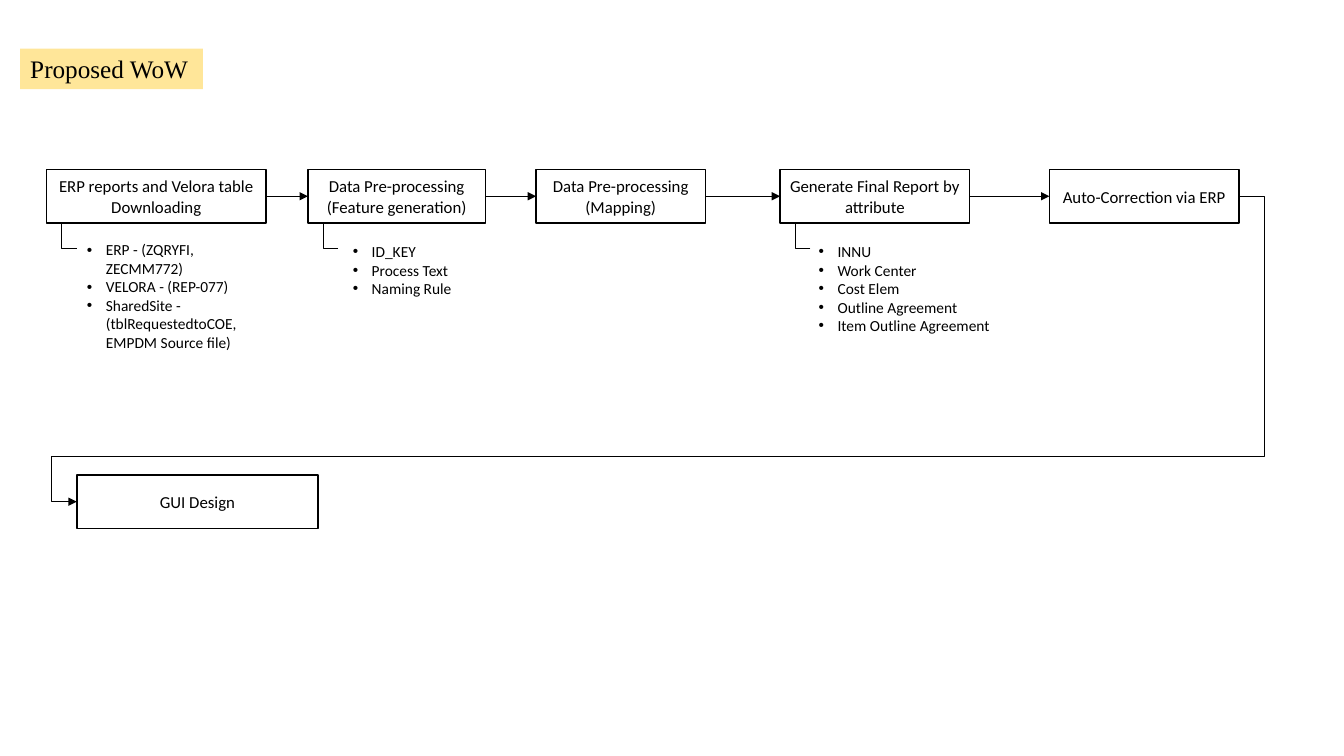
from dataclasses import dataclass

from lxml.etree import SubElement
from pptx import Presentation
from pptx.dml.color import RGBColor
from pptx.enum.shapes import MSO_CONNECTOR, MSO_SHAPE
from pptx.enum.text import MSO_ANCHOR, MSO_AUTO_SIZE, PP_ALIGN
from pptx.oxml.ns import qn
from pptx.util import Pt


@dataclass(frozen=True)
class Theme:
    ink: RGBColor = RGBColor(0, 0, 0)
    highlight: RGBColor = RGBColor(0xFF, 0xE6, 0x99)
    title_font: str = "Times New Roman"
    body_font: str = "Calibri"
    title_size: float = 18
    box_size: float = 12
    list_size: float = 11
    box_line: float = 1
    arrow_line: float = 0.5


TOP, LEFT, BOTTOM, RIGHT = range(4)  # connection sites of a rectangle
BOX_TOP, BOX_HEIGHT = 121.2, 38
HOOK_INSET, HOOK_WIDTH, HOOK_DROP = 10.8, 10.8, 18

# left, width, lines of the label
STEPS = [
    (33.1, 157, ["ERP reports and Velora table", "Downloading"]),
    (219.9, 126.9, ["Data Pre-processing", "(Feature generation)"]),
    (382.9, 121, ["Data Pre-processing", "(Mapping)"]),
    (557.2, 135.4, ["Generate Final Report by attribute"]),
    (749.6, 135.4, ["Auto-Correction via ERP"]),
]

# step index, placeholder index, left, top, height, items
DETAILS = [
    (0, 1, 54.9, 168.2, 127.4,
     ["ERP - (ZQRYFI, ZECMM772)", "VELORA - (REP-077)",
      "SharedSite - (tblRequestedtoCOE, EMPDM Source file)"]),
    (1, 2, 244.8, 169.4, 87, ["ID_KEY", "Process Text", "Naming Rule"]),
    (3, 4, 577.6, 169.4, 87,
     ["INNU", "Work Center", "Cost Elem", "Outline Agreement",
      "Item Outline Agreement"]),
]
DETAIL_WIDTH = 147


class Deck:
    def __init__(self, slide, theme):
        self.s = slide
        self.theme = theme

    def _place(self, sp, x, y, w, h):
        sp.left, sp.top, sp.width, sp.height = Pt(x), Pt(y), Pt(w), Pt(h)

    def _write(self, tf, lines, size, font, align, anchor):
        tf.word_wrap = True
        tf.auto_size = MSO_AUTO_SIZE.NONE
        tf.vertical_anchor = anchor
        for i, line in enumerate(lines):
            p = tf.add_paragraph() if i else tf.paragraphs[0]
            p.alignment = align
            p.space_before = p.space_after = Pt(0)
            r = p.add_run()
            r.text = line
            r.font.size = Pt(size)
            r.font.name = font
            r.font.bold = False
            r.font.color.rgb = self.theme.ink

    def title(self, text, x, y, w, h):
        sp = self.s.shapes.title
        self._place(sp, x, y, w, h)
        sp.fill.solid()
        sp.fill.fore_color.rgb = self.theme.highlight
        self._write(sp.text_frame, [text], self.theme.title_size,
                    self.theme.title_font, PP_ALIGN.LEFT, MSO_ANCHOR.TOP)

    def box(self, lines, x, y, w, h):
        sp = self.s.shapes.add_shape(MSO_SHAPE.RECTANGLE, Pt(x), Pt(y), Pt(w), Pt(h))
        sp.shadow.inherit = False
        sp.fill.background()
        sp.line.color.rgb = self.theme.ink
        sp.line.width = Pt(self.theme.box_line)
        self._write(sp.text_frame, lines, self.theme.box_size,
                    self.theme.body_font, PP_ALIGN.CENTER, MSO_ANCHOR.MIDDLE)
        return sp

    def bullets(self, idx, items, x, y, w, h):
        sp = next(ph for ph in self.s.placeholders
                  if ph.placeholder_format.idx == idx)
        self._place(sp, x, y, w, h)
        tf = sp.text_frame
        self._write(tf, items, self.theme.list_size,
                    self.theme.body_font, PP_ALIGN.LEFT, MSO_ANCHOR.TOP)
        indent = Pt(13.5)
        for p in tf.paragraphs:
            pPr = p._p.get_or_add_pPr()
            pPr.set("marL", str(indent))
            pPr.set("indent", str(-indent))
            SubElement(pPr, qn("a:buFont")).set("typeface", "Arial")
            SubElement(pPr, qn("a:buChar")).set("char", "•")

    def _connector(self, kind, begin, end):
        c = self.s.shapes.add_connector(kind, *begin, *end)
        c.line.color.rgb = self.theme.ink
        c.line.width = Pt(self.theme.arrow_line)
        SubElement(c._element.spPr, qn("a:effectLst"))
        return c

    def arrow(self, source, target, kind=MSO_CONNECTOR.STRAIGHT):
        """Run an arrow from the right side of source to the left side of target."""
        c = self._connector(
            kind,
            (source.left + source.width, source.top + source.height // 2),
            (target.left, target.top + target.height // 2))
        c.begin_connect(source, RIGHT)
        c.end_connect(target, LEFT)
        SubElement(c.line._get_or_add_ln(), qn("a:tailEnd")).set("type", "triangle")
        return c

    def _bend(self, c, preset, adjustments=()):
        geom = c._element.spPr.find(qn("a:prstGeom"))
        geom.set("prst", preset)
        av = geom.find(qn("a:avLst"))
        for i, value in enumerate(adjustments, 1):
            gd = SubElement(av, qn("a:gd"))
            gd.set("name", f"adj{i}")
            gd.set("fmla", f"val {round(value * 100000)}")

    def return_arrow(self, source, target):
        """Lead the flow around the row and back to a box on the next row."""
        c = self.arrow(source, target, MSO_CONNECTOR.ELBOW)
        self._bend(c, "bentConnector5", (-0.022, 0.85, 1.022))

    def hook(self, box):
        """Draw the small corner that ties a box to its list."""
        x = box.left + Pt(HOOK_INSET)
        y = box.top + box.height
        c = self._connector(MSO_CONNECTOR.ELBOW,
                            (x + Pt(HOOK_WIDTH), y + Pt(HOOK_DROP)), (x, y))
        self._bend(c, "bentConnector2")

    def remove_empty_placeholders(self):
        for ph in list(self.s.placeholders):
            if not ph.text_frame.text:
                ph._element.getparent().remove(ph._element)


def main():
    prs = Presentation()
    prs.slide_width, prs.slide_height = Pt(960), Pt(540)
    comparison = prs.slide_layouts[4]
    deck = Deck(prs.slides.add_slide(comparison), Theme())

    deck.title("Proposed WoW", 14.4, 34.7, 130.6, 29)
    steps = [deck.box(lines, x, BOX_TOP, w, BOX_HEIGHT) for x, w, lines in STEPS]
    for source, target in zip(steps, steps[1:]):
        deck.arrow(source, target)
    for step, idx, x, y, h, items in DETAILS:
        deck.bullets(idx, items, x, y, DETAIL_WIDTH, h)
        deck.hook(steps[step])
    gui = deck.box(["GUI Design"], 54.9, 339.4, 172.4, BOX_HEIGHT)
    deck.return_arrow(steps[-1], gui)
    deck.remove_empty_placeholders()

    prs.save("out.pptx")


if __name__ == "__main__":
    main()
